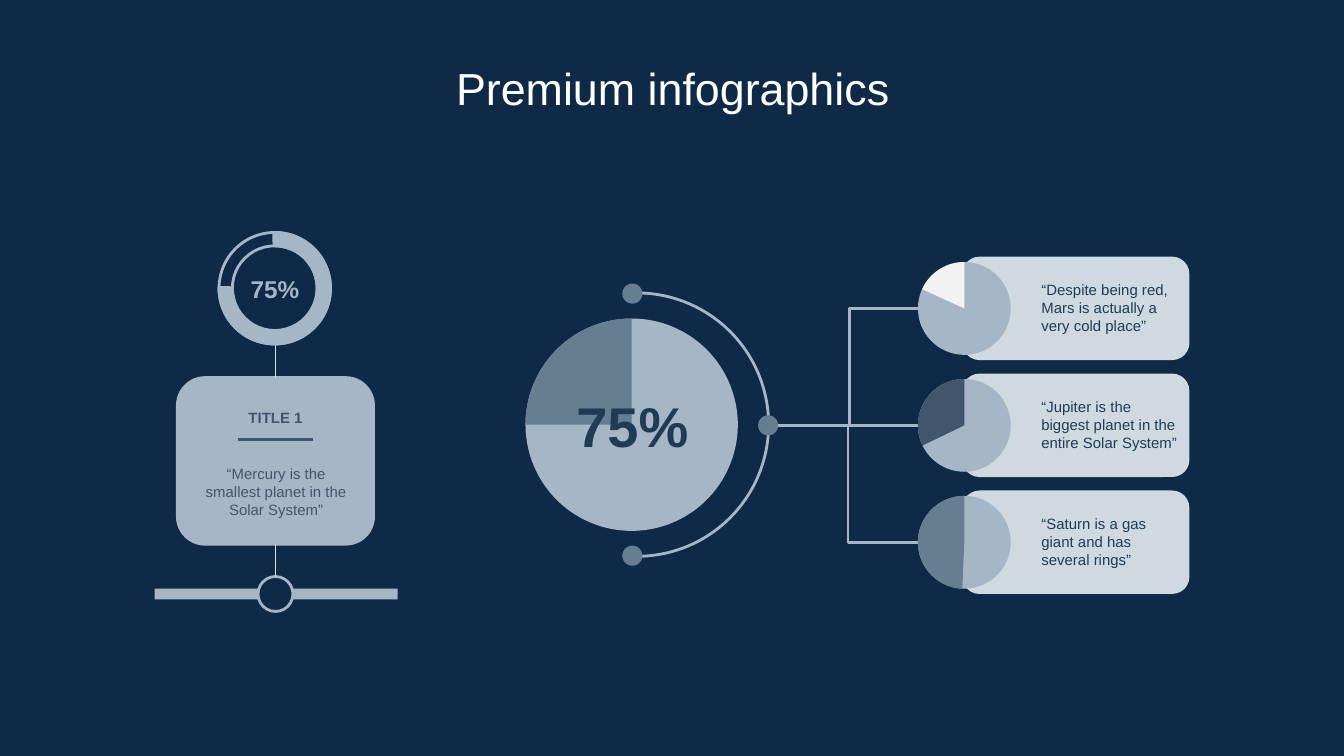
import pptx
import pptx.util
import pptx.dml.color
import pptx.enum.shapes
import pptx.enum.text
import pptx.oxml
import pptx.oxml.ns

# Grid: 100 columns by 56.25 rows of square cells
SLIDE_WIDTH = pptx.util.Inches(10)
SLIDE_HEIGHT = pptx.util.Inches(5.625)
CELL = SLIDE_WIDTH / 100
FONT = "Arial"
COLORS = {
    "navy": "0E2A47", "ink": "213B55", "slate": "40566D", "steel": "667E92",
    "mist": "A5B7C6", "thread": "D7DFE5", "card": "CFD9E0",
    "pale": "F2F2F2", "white": "FFFFFF",
}
SHAPE = pptx.enum.shapes.MSO_SHAPE
CONNECTOR = pptx.enum.shapes.MSO_CONNECTOR
ALIGN = pptx.enum.text.PP_ALIGN
ANCHOR = pptx.enum.text.MSO_ANCHOR

FACTS = [  # text, start angle of the highlighted slice, slice colour
    ("“Despite being red, Mars is actually a very cold place”", 204.53, "pale"),
    ("“Jupiter is the biggest planet in the entire Solar System”", 154.22, "slate"),
    ("“Saturn is a gas giant and has several rings”", 92.41, "steel"),
]
FACT_PITCH = 8.7
HUB_ROW = 31.65
TOP_ANGLE = 270


def grid(*cells):
    return [round(cell * CELL) for cell in cells]


def color(name):
    return pptx.dml.color.RGBColor.from_string(COLORS[name])


def angle(degrees):
    """Angle adjustments count 60000ths of a degree, scaled by 100000."""
    return degrees * 0.6


def add_shape(shapes, kind, box, fill=None, line=None, adjustments=()):
    shape = shapes.add_shape(kind, *grid(*box))
    shape.shadow.inherit = False
    if fill:
        shape.fill.solid()
        shape.fill.fore_color.rgb = color(fill)
    else:
        shape.fill.background()
    if line:
        shape.line.color.rgb = color(line)
        shape.line.width = pptx.util.Pt(1.5)
    else:
        shape.line.fill.background()
    for index, value in enumerate(adjustments):
        shape.adjustments[index] = value
    return shape


def add_line(slide, start, end, line, width=1.5, kind=CONNECTOR.STRAIGHT, bend=None):
    connector = slide.shapes.add_connector(kind, *grid(*start, *end))
    connector.line.color.rgb = color(line)
    connector.line.width = pptx.util.Pt(width)
    properties = connector._element.spPr
    properties.append(pptx.oxml.parse_xml(
        "<a:effectLst %s/>" % pptx.oxml.ns.nsdecls("a")))
    if bend:
        geometry = properties.find(pptx.oxml.ns.qn("a:prstGeom"))
        for old in list(geometry):
            geometry.remove(old)
        geometry.append(pptx.oxml.parse_xml(
            '<a:avLst %s><a:gd name="adj1" fmla="val %d"/></a:avLst>'
            % (pptx.oxml.ns.nsdecls("a"), round(bend * 100000))))


def format_text(shape, text, size, name, align, anchor, bold=False):
    frame = shape.text_frame
    frame.text = text
    frame.word_wrap = True
    frame.auto_size = pptx.enum.text.MSO_AUTO_SIZE.NONE
    frame.vertical_anchor = anchor
    frame.margin_left, frame.margin_top, frame.margin_right, frame.margin_bottom = grid(1, 1, 1, 1)
    for paragraph in frame.paragraphs:
        paragraph.alignment = align
        for run in paragraph.runs:
            run.font.name = FONT
            run.font.size = pptx.util.Pt(size)
            run.font.bold = bold
            run.font.color.rgb = color(name)


def add_text(slide, box, text, size, name, align=ALIGN.CENTER, bold=False):
    shape = slide.shapes.add_textbox(*grid(*box))
    format_text(shape, text, size, name, align, ANCHOR.MIDDLE, bold)


def add_pie(slide, box, start, slice_color):
    shapes = slide.shapes.add_group_shape().shapes
    add_shape(shapes, SHAPE.OVAL, box, "mist")
    add_shape(shapes, SHAPE.PIE, box, slice_color,
              adjustments=(angle(start), angle(TOP_ANGLE)))


def add_title(slide):
    title = slide.shapes.title
    title.left, title.top, title.width, title.height = grid(11.5, 3.5, 77.1, 5.3)
    format_text(title, "Premium infographics", 24, "white", ALIGN.CENTER, ANCHOR.TOP)


def add_timeline_card(slide):
    # Bar, card and marker joined by thin threads
    add_shape(slide.shapes, SHAPE.RECTANGLE, (11.5, 43.8, 18.1, 0.8), "mist")
    add_shape(slide.shapes, SHAPE.ROUNDED_RECTANGLE, (13.2, 28.1, 14.6, 12.4), "mist", "mist")
    add_shape(slide.shapes, SHAPE.OVAL, (19.2, 42.9, 2.6, 2.6), "navy", "mist")
    for top, bottom in ((25.7, 28.1), (40.5, 42.9)):
        add_line(slide, (20.5, top), (20.5, bottom), "thread", 0.75)

    # Card text
    add_text(slide, (15.9, 29.9, 9.2, 2.4), "TITLE 1", 8, "slate", bold=True)
    add_line(slide, (17.7, 32.7), (23.3, 32.7), "slate")
    add_text(slide, (14.2, 34.1, 12.7, 5),
             "“Mercury is the smallest planet in the Solar System”", 8, "slate")

    # Ring gauge
    ring_box = (16.3, 17.3, 8.3, 8.3)
    ring = slide.shapes.add_group_shape().shapes
    add_shape(ring, SHAPE.DONUT, ring_box, line="mist", adjustments=(0.12,))
    add_shape(ring, SHAPE.BLOCK_ARC, ring_box, "mist", "mist",
              (angle(268.9), angle(180.7), 0.12))
    add_text(slide, (17.3, 19.5, 6.3, 4), "75%", 13, "mist", bold=True)


def add_hub(slide):
    # Large pie inside a half orbit with three dots
    add_shape(slide.shapes, SHAPE.ARC, (37.6, 21.8, 19.6, 19.6), line="mist",
              adjustments=(angle(TOP_ANGLE), angle(88.31)))
    add_pie(slide, (39.1, 23.7, 15.8, 15.8), 180, "steel")
    for left, top in ((46.3, 21.1), (46.3, 40.6), (56.4, 30.9)):
        add_shape(slide.shapes, SHAPE.OVAL, (left, top, 1.5, 1.5), "steel")
    add_text(slide, (41.6, 28.2, 10.9, 6.9), "75%", 30, "ink", bold=True)


def add_facts(slide):
    for index, (text, start, slice_color) in enumerate(FACTS):
        offset = index * FACT_PITCH
        add_shape(slide.shapes, SHAPE.ROUNDED_RECTANGLE,
                  (71.6, 19.1 + offset, 16.9, 7.7), "card")
        add_text(slide, (76.5, 20.5 + offset, 12.4, 4.8), text, 8, "ink", ALIGN.LEFT)
        add_line(slide, (57.9, HUB_ROW), (68.3, HUB_ROW + (index - 1) * FACT_PITCH),
                 "mist", kind=CONNECTOR.ELBOW, bend=0.51 if index == 0 else 0.5)
        add_pie(slide, (68.3, 19.5 + offset, 6.9, 6.9), start, slice_color)


def main():
    presentation = pptx.Presentation()
    presentation.slide_width = SLIDE_WIDTH
    presentation.slide_height = SLIDE_HEIGHT
    slide = presentation.slides.add_slide(presentation.slide_layouts[5])
    slide.background.fill.solid()
    slide.background.fill.fore_color.rgb = color("navy")
    add_title(slide)
    add_timeline_card(slide)
    add_hub(slide)
    add_facts(slide)
    presentation.save("out.pptx")


main()
